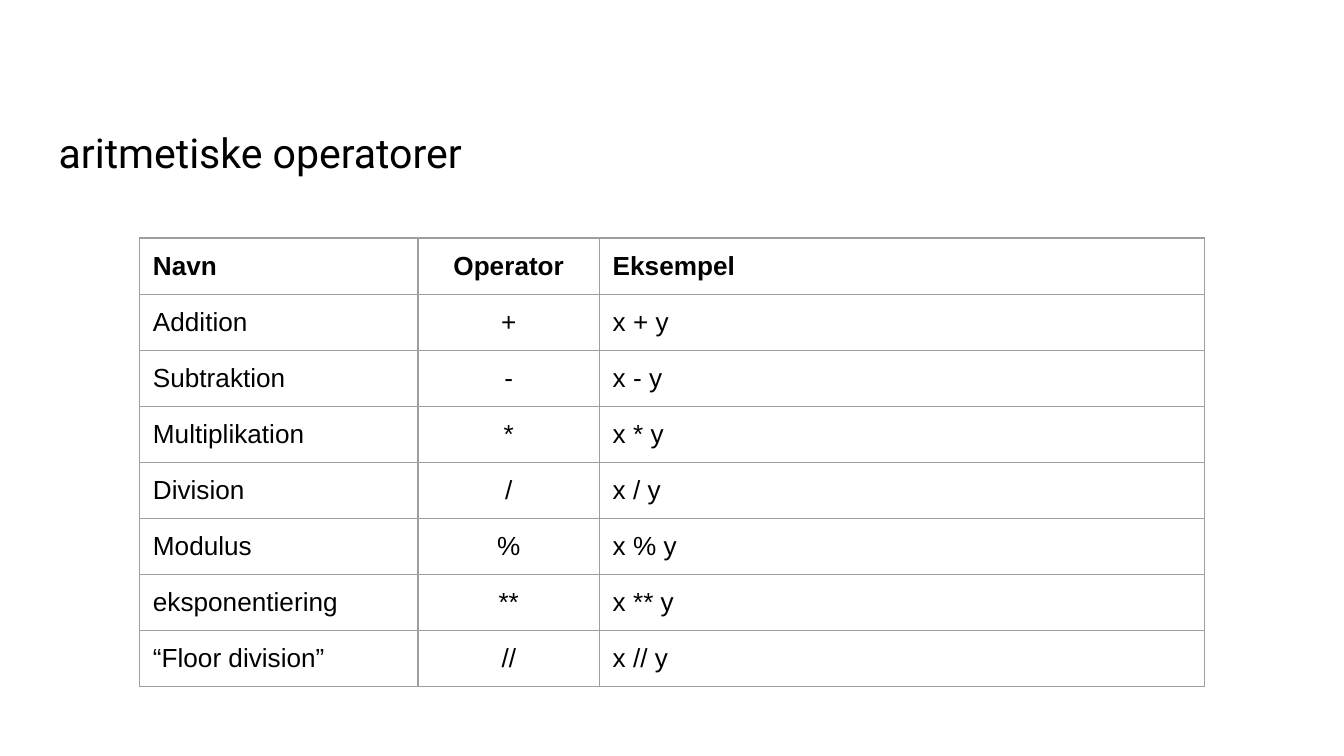
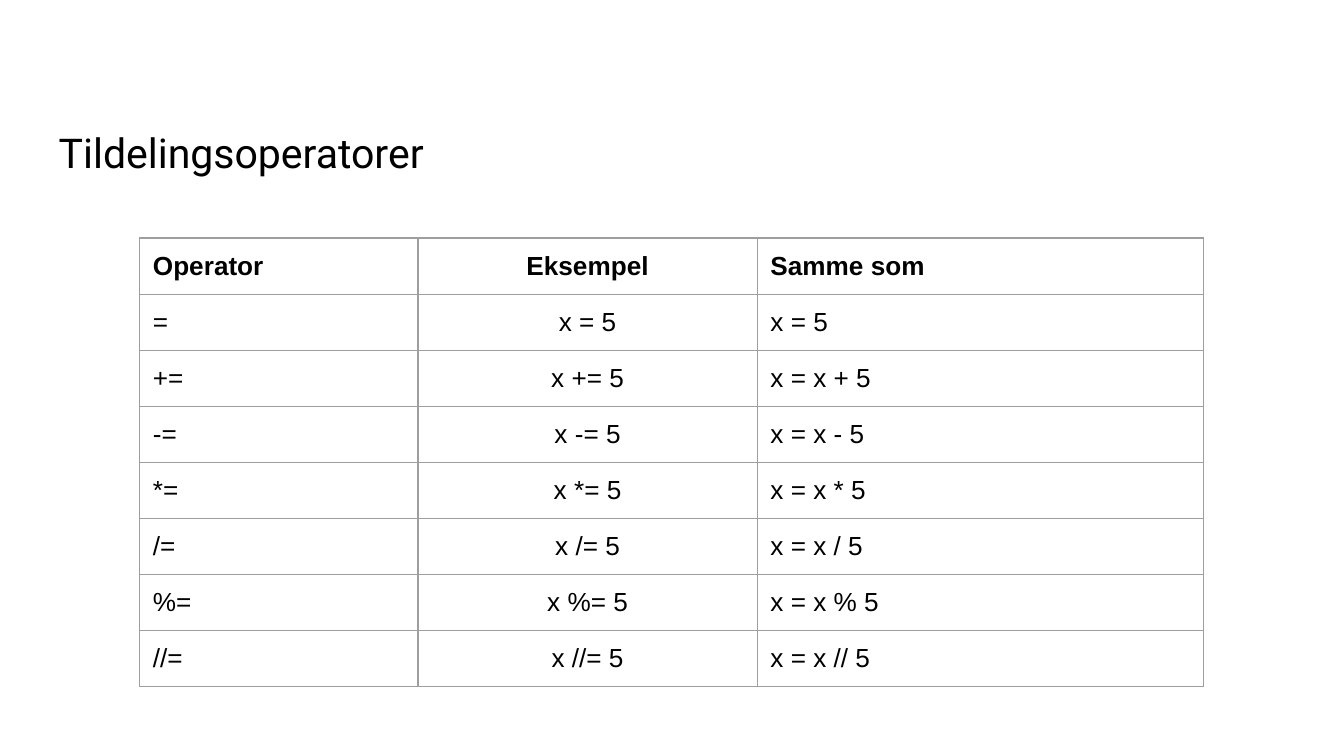
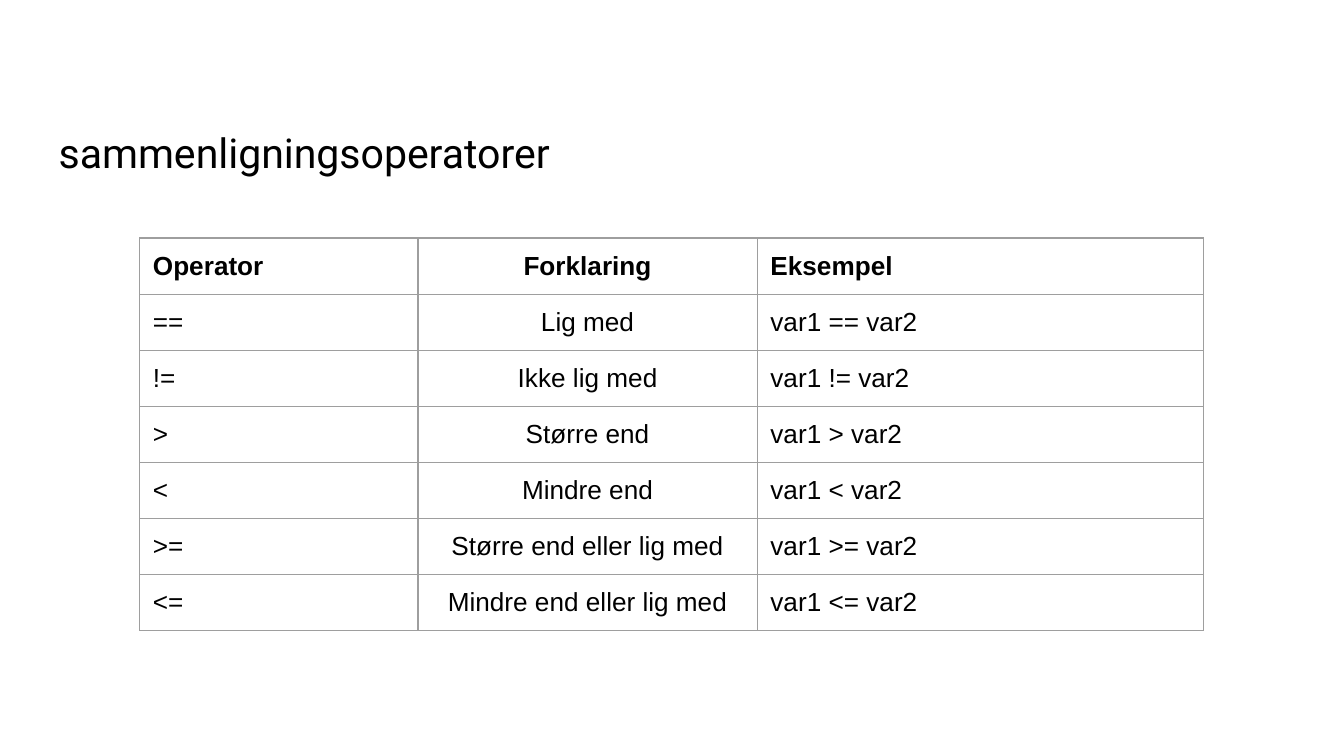
import pptx
import pptx.dml.color
import pptx.enum.text
import pptx.oxml.ns
import pptx.util
from lxml import etree

Cm = pptx.util.Cm
Pt = pptx.util.Pt
ALIGN = pptx.enum.text.PP_ALIGN
ANCHOR = pptx.enum.text.MSO_ANCHOR

# Shared style
COLORS = {"background": "FFFFFF", "text": "000000", "border": "9E9E9E"}
TITLE_FONT, TABLE_FONT = "Roboto", "Arial"
INSET = Cm(0.25)
ROW_HEIGHT = Cm(1.06)
BORDER_WIDTH = Pt(0.75)
COLUMN_ALIGN = [ALIGN.LEFT, ALIGN.CENTER, ALIGN.LEFT]
NARROW_MIDDLE = [5.26, 3.43, 11.43]
WIDE_MIDDLE = [5.26, 6.41, 8.44]

# Table contents
ARITHMETIC = [
    ("Navn", "Operator", "Eksempel"),
    ("Addition", "+", "x + y"),
    ("Subtraktion", "-", "x - y"),
    ("Multiplikation", "*", "x * y"),
    ("Division", "/", "x / y"),
    ("Modulus", "%", "x % y"),
    ("eksponentiering", "**", "x ** y"),
    ("“Floor division”", "//", "x // y"),
]
ASSIGNMENT = [("Operator", "Eksempel", "Samme som"), ("=", "x = 5", "x = 5")] + [
    (f"{op}=", f"x {op}= 5", f"x = x {op} 5")
    for op in ("+", "-", "*", "/", "%", "//")
]
COMPARISON = [("Operator", "Forklaring", "Eksempel")] + [
    (op, meaning, f"var1 {op} var2")
    for op, meaning in (
        ("==", "Lig med"),
        ("!=", "Ikke lig med"),
        (">", "Større end"),
        ("<", "Mindre end"),
        (">=", "Større end eller lig med"),
        ("<=", "Mindre end eller lig med"),
    )
]
SLIDES = [
    ("aritmetiske operatorer", NARROW_MIDDLE, ARITHMETIC),
    ("Tildelingsoperatorer", WIDE_MIDDLE, ASSIGNMENT),
    ("sammenligningsoperatorer", WIDE_MIDDLE, COMPARISON),
]


def rgb(name):
    return pptx.dml.color.RGBColor.from_string(COLORS[name])


def set_insets(obj):
    obj.margin_left = obj.margin_right = INSET
    obj.margin_top = obj.margin_bottom = INSET


def format_text(p, font, size, align, bold=False):
    p.alignment = align
    for r in p.runs:
        r.font.name = font
        r.font.size = Pt(size)
        r.font.bold = bold
        r.font.color.rgb = rgb("text")


def add_title(s, text):
    sp = s.shapes.title
    sp.left, sp.top, sp.width, sp.height = Cm(0.86), Cm(2.08), Cm(19.84), Cm(1.6)
    tf = sp.text_frame
    tf.text = text
    tf.word_wrap = True
    tf.auto_size = pptx.enum.text.MSO_AUTO_SIZE.NONE
    tf.vertical_anchor = ANCHOR.MIDDLE
    set_insets(tf)
    format_text(tf.paragraphs[0], TITLE_FONT, 22, ALIGN.LEFT)


def add_borders(cell):
    qn = pptx.oxml.ns.qn
    tc_pr = cell._tc.get_or_add_tcPr()
    for side in ("a:lnL", "a:lnR", "a:lnT", "a:lnB"):
        ln = etree.SubElement(tc_pr, qn(side), w=str(BORDER_WIDTH))
        fill = etree.SubElement(ln, qn("a:solidFill"))
        etree.SubElement(fill, qn("a:srgbClr"), val=COLORS["border"])


def add_operator_table(s, widths, rows):
    frame = s.shapes.add_table(len(rows), len(widths), Cm(2.64), Cm(4.5),
                               Cm(sum(widths)), ROW_HEIGHT * len(rows))
    table = frame.table
    table.first_row = True
    table.horz_banding = False
    for column, width in zip(table.columns, widths):
        column.width = Cm(width)
    for i, row in enumerate(rows):
        table.rows[i].height = ROW_HEIGHT
        for j, text in enumerate(row):
            cell = table.cell(i, j)
            cell.text_frame.text = text
            set_insets(cell)
            add_borders(cell)
            cell.fill.background()
            format_text(cell.text_frame.paragraphs[0], TABLE_FONT, 14,
                        COLUMN_ALIGN[j], bold=i == 0)


def main():
    prs = pptx.Presentation()
    prs.slide_width, prs.slide_height = Cm(25.4), Cm(14.29)
    background = prs.slide_master.background.fill
    background.solid()
    background.fore_color.rgb = rgb("background")
    title_only = prs.slide_layouts.get_by_name("Title Only")
    for title, widths, rows in SLIDES:
        s = prs.slides.add_slide(title_only)
        add_title(s, title)
        add_operator_table(s, widths, rows)
    prs.save("out.pptx")


if __name__ == "__main__":
    main()
